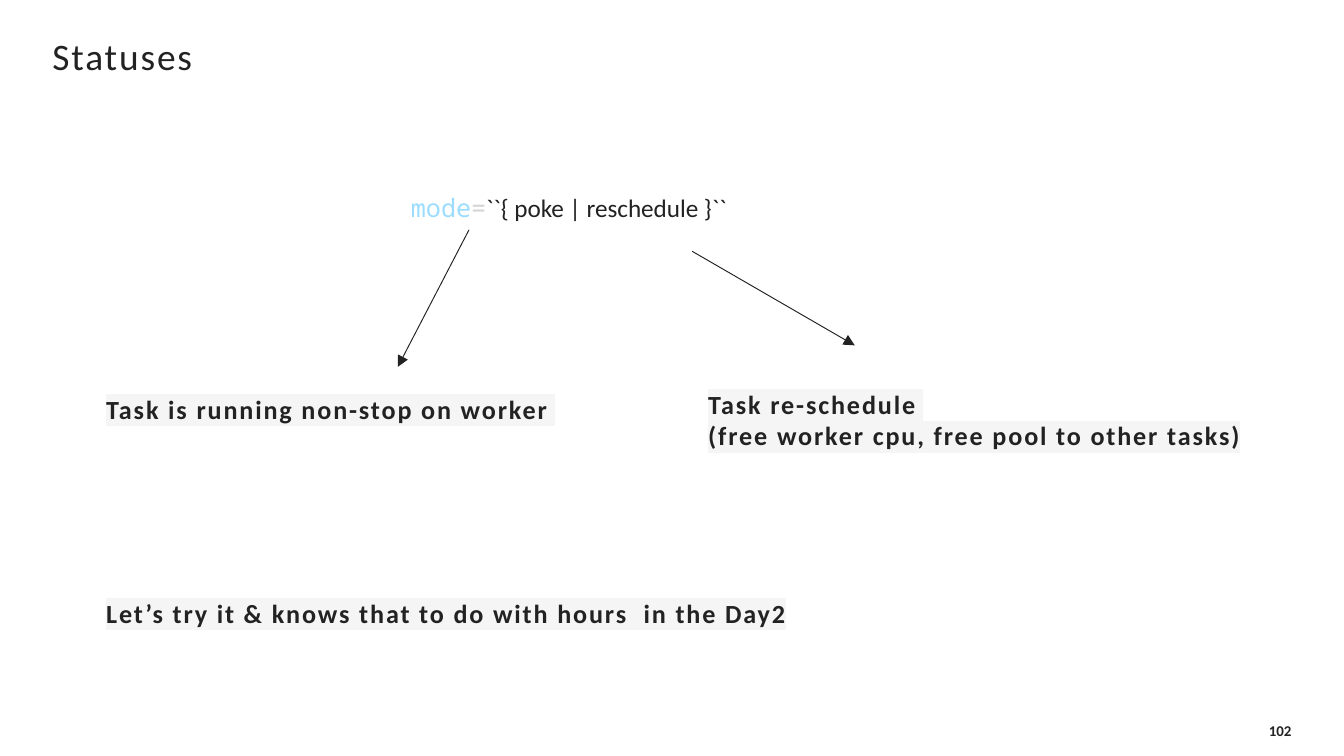
from lxml import etree
from pptx import Presentation
from pptx.dml.color import RGBColor
from pptx.enum import shapes, text
from pptx.oxml import ns
from pptx.util import Inches, Pt

DARK = RGBColor(0x22, 0x22, 0x22)
BLUE = RGBColor(0x9C, 0xDC, 0xFE)
GREY = RGBColor(0xD4, 0xD4, 0xD4)
PALE = RGBColor(0xF5, 0xF5, 0xF5)
MID, TOP = text.MSO_ANCHOR.MIDDLE, text.MSO_ANCHOR.TOP

deck = Presentation()
deck.slide_width = Inches(10)
deck.slide_height = Inches(10) * 9 // 16
slide = deck.slides.add_slide(deck.slide_layouts[6])


def write(lines, at, size=14, bold=False, gap=0, mark=None, pad=(0, 0.05, 0, 0.05),
          anchor=MID, align=text.PP_ALIGN.LEFT):
    """Each line is a string or a list of (words, colour, font) parts."""
    frame = slide.shapes.add_textbox(*map(Inches, at)).text_frame
    frame.word_wrap, frame.vertical_anchor = True, anchor
    (frame.margin_left, frame.margin_top,
     frame.margin_right, frame.margin_bottom) = map(Inches, pad)
    for i, line in enumerate(lines):
        para = frame.add_paragraph() if i else frame.paragraphs[0]
        para.alignment = align
        parts = [(line, DARK, "Calibri")] if isinstance(line, str) else line
        for words, color, face in parts:
            run = para.add_run()
            run.text = words
            font = run.font
            font.size, font.bold = Pt(size), bold
            font.color.rgb = color
            props = run._r.get_or_add_rPr()
            if gap:
                props.set("spc", str(gap * 100))
            if mark:
                light = etree.SubElement(props, ns.qn("a:highlight"))
                etree.SubElement(light, ns.qn("a:srgbClr"), val=str(mark))
            font.name = face


# Title and page number
write(["Statuses"], (0.39, 0.25, 9.22, 0.33), size=20, gap=1)
write(["102"], (8.11, 5.28, 1.5, 0.35), size=8, bold=True,
      pad=(0.1, 0.05, 0, 0.09), align=text.PP_ALIGN.RIGHT)

# Mode setting
mono = "Noto Sans Mono"
write([[("mode", BLUE, mono), ("=", GREY, mono),
        ("``{ poke | reschedule }``", DARK, "Calibri")]],
      (2.96, 1.38, 3.04, 0.33), size=13.5, pad=(0.1, 0.05, 0.1, 0.05), anchor=TOP)

# Notes on each mode, and the closing remark
for lines, left, top, width in [
    (["Task is running non-stop on worker "], 0.79, 2.73, 3.6),
    (["Task re-schedule ", "(free worker cpu, free pool to other tasks)"], 5.27, 2.81, 4.2),
    (["Let’s try it & knows that to do with hours  in the Day2"], 0.79, 4.25, 5.3),
]:
    write(lines, (left, top, width, 0.62), bold=True, gap=1, mark=PALE)

# Arrows from the setting to the notes
for ends in [(3.49, 1.71, 2.96, 2.73), (5.15, 1.87, 6.36, 2.57)]:
    arrow = slide.shapes.add_connector(shapes.MSO_CONNECTOR.STRAIGHT, *map(Inches, ends))
    arrow.line.color.rgb = DARK
    arrow.line.width = Pt(0.5)
    etree.SubElement(arrow.line._get_or_add_ln(), ns.qn("a:tailEnd"), type="triangle")
    etree.SubElement(arrow._element.spPr, ns.qn("a:effectLst"))

deck.save("out.pptx")
